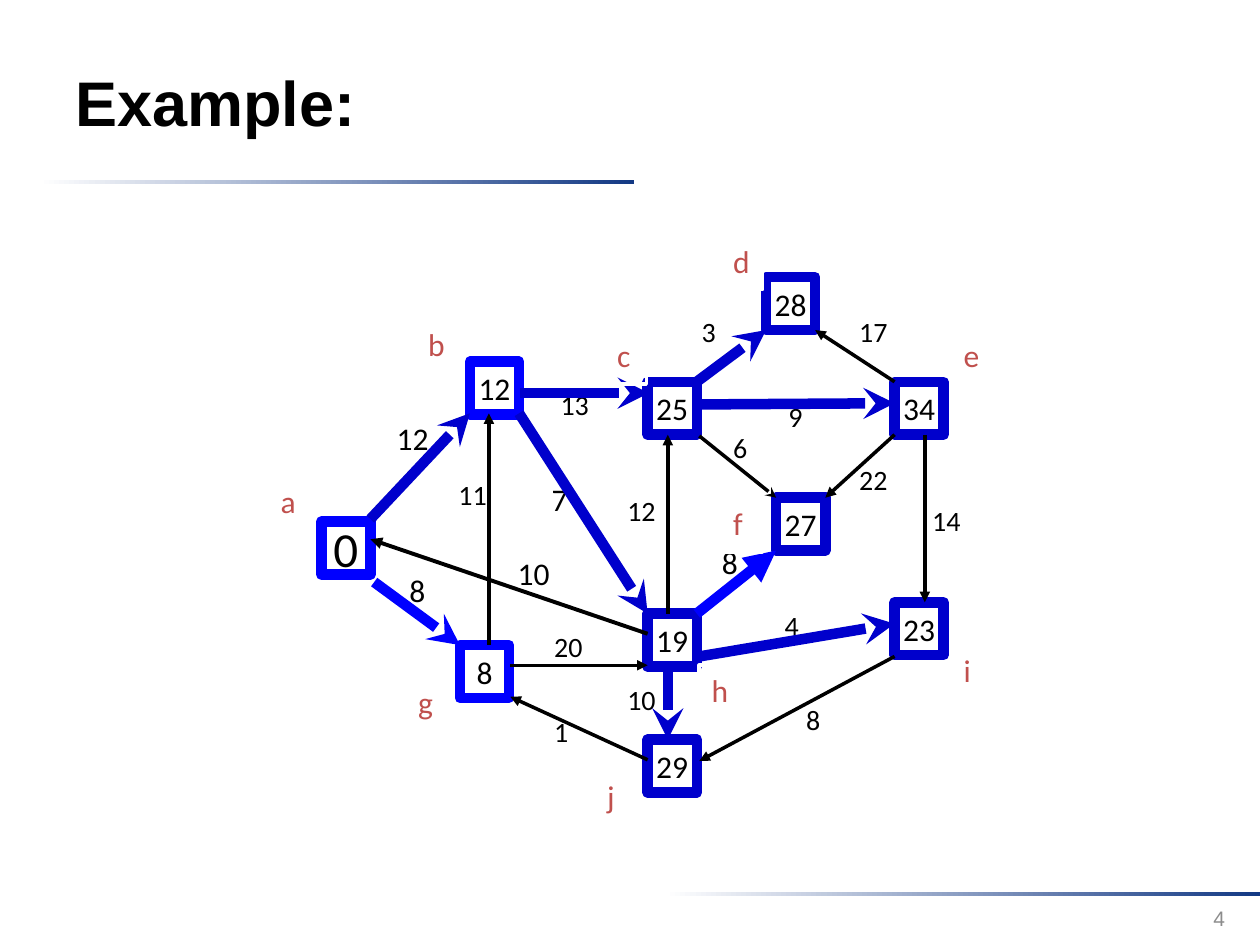
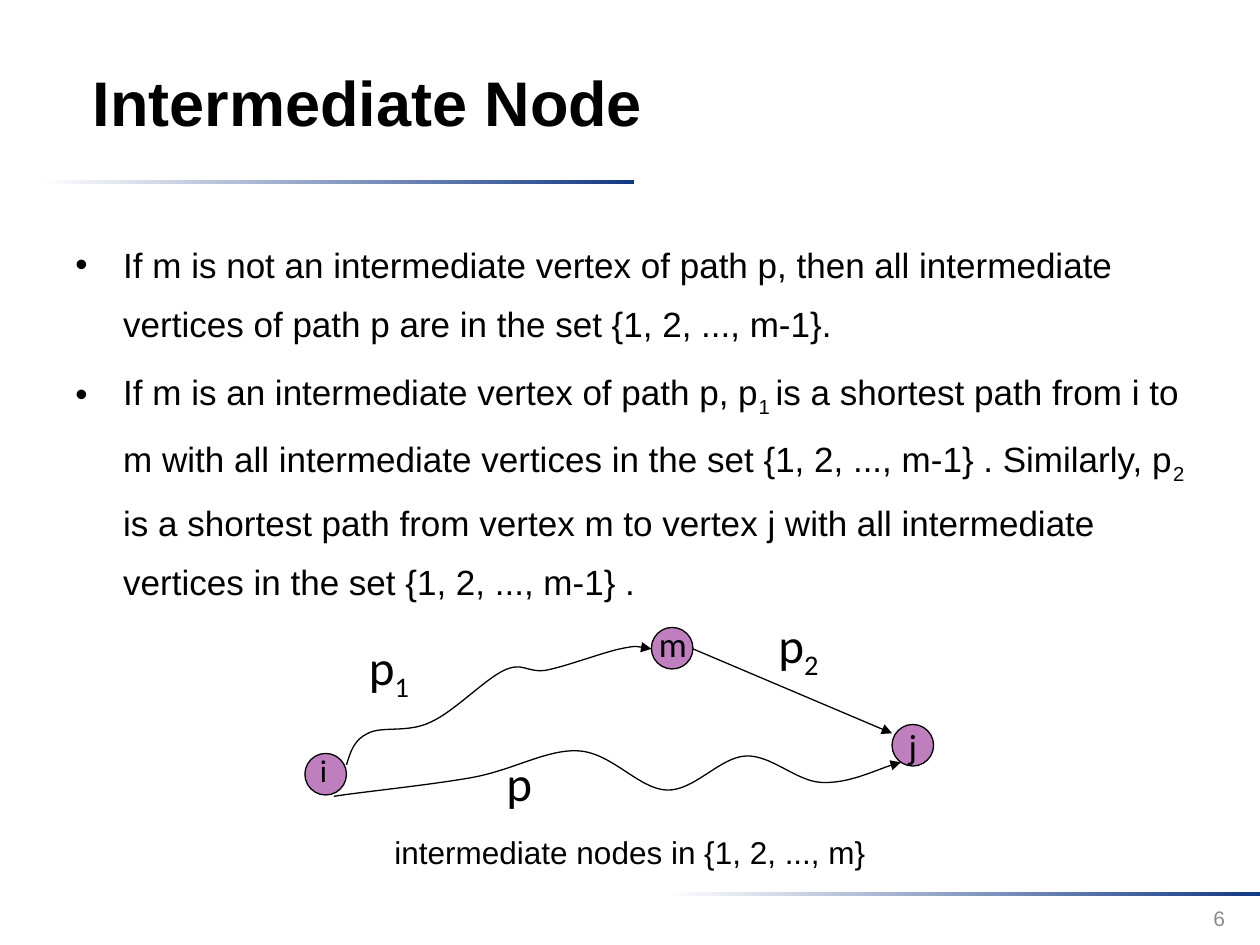
from lxml import etree
from pptx import Presentation
from pptx.dml.color import RGBColor
from pptx.enum.shapes import MSO_CONNECTOR, MSO_SHAPE
from pptx.enum.text import MSO_ANCHOR, MSO_AUTO_SIZE, PP_ALIGN
from pptx.oxml.ns import qn
from pptx.util import Inches, Pt

BLACK = RGBColor(0x00, 0x00, 0x00)
WHITE = RGBColor(0xFF, 0xFF, 0xFF)
NAVY = RGBColor(0x13, 0x39, 0x84)
GRAY = RGBColor(0x8C, 0x8C, 0x8C)
BLUE = RGBColor(0x00, 0x00, 0xFF)
DARK_BLUE = RGBColor(0x00, 0x00, 0xCC)
RED = RGBColor(0xC0, 0x50, 0x4D)
PURPLE = RGBColor(0x80, 0x00, 0x80)

BANDS = [(0.31, 1.43), (5.28, 7.08)]

NODE_SIZE = (0.39, 0.42)
NODES = [
    ("0", 2.55, 4.14, BLUE, 28),
    ("27", 6.16, 3.95, DARK_BLUE, 18),
    ("8", 3.65, 5.12, BLUE, 18),
    ("29", 5.14, 5.87, DARK_BLUE, 18),
    ("19", 5.14, 4.87, DARK_BLUE, 18),
    ("25", 5.14, 3.03, DARK_BLUE, 18),
    ("23", 7.1, 4.78, DARK_BLUE, 18),
    ("34", 7.1, 3.03, DARK_BLUE, 18),
    ("28", 6.08, 2.2, DARK_BLUE, 18),
    ("12", 3.73, 2.87, BLUE, 18),
]
WEIGHT_SIZES = {(18, 1): (0.35, 0.43), (18, 2): (0.48, 0.43),
                (16, 1): (0.34, 0.4), (16, 2): (0.45, 0.4)}
WEIGHTS = [
    ("8", 3.15, 4.48, 18), ("10", 4.01, 4.35, 18), ("20", 4.3, 4.95, 16),
    ("1", 4.3, 5.62, 16), ("8", 6.3, 5.53, 16), ("4", 6.13, 4.78, 16),
    ("12", 4.88, 3.87, 16), ("7", 4.28, 3.76, 18), ("13", 4.35, 3.03, 16),
    ("3", 5.47, 2.45, 16), ("9", 6.16, 3.12, 16), ("6", 5.72, 3.37, 16),
    ("22", 6.72, 3.62, 16), ("14", 7.3, 3.95, 16), ("8", 5.63, 4.26, 18),
    ("10", 4.88, 5.37, 16), ("12", 3.05, 3.28, 18), ("17", 6.72, 2.45, 16),
    ("11", 3.54, 3.74, 16),
]
EDGES = [
    ((2.97, 4.62), (3.65, 5.12), BLUE, 6, "stealth"),
    ((2.94, 4.12), (3.73, 3.28), DARK_BLUE, 6, "stealth"),
    ((5.14, 5.03), (2.94, 4.28), BLACK, 2.25, "triangle"),
    ((3.88, 5.12), (3.88, 3.28), BLACK, 2, "triangle"),
    ((4.05, 5.28), (5.14, 5.28), BLACK, 2, "triangle"),
    ((5.14, 6.03), (4.05, 5.53), BLACK, 2, "triangle"),
    ((7.1, 5.21), (5.55, 6.04), BLACK, 2, "triangle"),
    ((5.3, 5.28), (5.3, 5.87), DARK_BLUE, 6, "stealth"),
    ((4.12, 3.28), (5.14, 4.87), DARK_BLUE, 6, "stealth"),
    ((5.3, 4.87), (5.3, 3.45), BLACK, 2, "triangle"),
    ((4.13, 3.12), (5.15, 3.12), DARK_BLUE, 6, "stealth"),
    ((5.53, 3.03), (6.08, 2.62), DARK_BLUE, 6, "stealth"),
    ((5.55, 3.21), (7.1, 3.2), DARK_BLUE, 6, "stealth"),
    ((5.55, 3.46), (6.16, 3.95), BLACK, 2, "stealth"),
    ((5.53, 4.87), (6.16, 4.37), BLUE, 6, "triangle"),
    ((7.1, 3.45), (6.55, 3.95), BLACK, 2, "triangle"),
    ((7.34, 3.45), (7.34, 4.78), BLACK, 2, "triangle"),
    ((5.55, 5.21), (7.1, 4.95), DARK_BLUE, 6, "stealth"),
    ((7.1, 3.03), (6.47, 2.62), BLACK, 2, "triangle"),
]
NODE_NAMES = [
    ("a", 2.13, 3.78), ("b", 3.3, 2.53), ("g", 3.22, 5.37), ("c", 4.8, 2.62),
    ("d", 5.72, 1.87), ("f", 5.72, 3.95), ("e", 7.55, 2.62), ("i", 7.55, 5.12),
    ("h", 5.55, 5.28), ("j", 4.72, 6.12),
]

BULLETS = [
    [("If m is not an intermediate vertex of path p, then all intermediate "
      "vertices of path p are in the set {1, 2, ..., m-1}. ", False)],
    [("If m is an intermediate vertex of path p, p", False), ("1 ", True),
     ("is a shortest path from i to m with all intermediate vertices in the "
      "set {1, 2, ..., m-1} . Similarly, p", False), ("2", True),
     (" is a shortest path from vertex m to vertex j with all intermediate "
      "vertices in the set {1, 2, ..., m-1} . ", False)],
]
CIRCLES = [("", 2.42, 5.98), ("", 5.17, 4.98), ("j", 7.08, 5.75)]
CURVES = [
    [(2.75, 6.07), (2.78, 5.97), (2.81, 5.87), (2.92, 5.82), (3.03, 5.76),
     (3.24, 5.82), (3.42, 5.73), (3.6, 5.65), (3.85, 5.39), (4, 5.32),
     (4.15, 5.25), (4.18, 5.34), (4.33, 5.32), (4.49, 5.29), (4.78, 5.18),
     (4.92, 5.15), (5.06, 5.12), (5.11, 5.14), (5.17, 5.15)],
    [(2.65, 6.32), (2.83, 6.29), (3.42, 6.23), (3.75, 6.17), (4.08, 6.11),
     (4.35, 5.94), (4.6, 5.96), (4.86, 5.98), (5.07, 6.26), (5.29, 6.27),
     (5.51, 6.28), (5.71, 6.01), (5.92, 6), (6.12, 5.99), (6.32, 6.2),
     (6.52, 6.21), (6.73, 6.22), (7.02, 6.08), (7.15, 6.05)],
]
PATH_LABELS = [
    ([("i", False)], (2.44, 5.91, 0.29, 0.5), 18),
    ([("p", False), ("1", True)], (2.83, 5, 0.54, 0.57), 28),
    ([("p", False), ("2", True)], (6.08, 4.83, 1.25, 0.57), 28),
    ([("m", False)], (5.13, 4.89, 0.42, 0.43), 20),
    ([("p", False)], (3.92, 5.92, 0.41, 0.57), 28),
]


def inches(values):
    return [Inches(value) for value in values]


def write(paragraph, runs, size, color=BLACK, font="Calibri", align=PP_ALIGN.LEFT):
    paragraph.alignment = align
    paragraph.font.size = Pt(size)
    paragraph.font.name = font
    paragraph.font.color.rgb = color
    for text, subscript in runs:
        run = paragraph.add_run()
        run.text = text
        if subscript:
            run.font._element.set("baseline", "-25000")


def add_text(shapes, runs, box, size, wrap=True, anchor=MSO_ANCHOR.TOP, **style):
    shape = shapes.add_textbox(*inches(box))
    frame = shape.text_frame
    frame.word_wrap = wrap
    frame.vertical_anchor = anchor
    write(frame.paragraphs[0], runs, size, **style)
    return frame


def add_outline(shapes, kind, box, color, width):
    shape = shapes.add_shape(kind, *inches(box))
    shape.shadow.inherit = False
    shape.fill.background()
    shape.line.color.rgb = color
    shape.line.width = Pt(width)
    return shape


def add_centered(shape, text, size):
    frame = shape.text_frame
    frame.word_wrap = False
    frame.vertical_anchor = MSO_ANCHOR.MIDDLE
    write(frame.paragraphs[0], [(text, False)], size, align=PP_ALIGN.CENTER)


def add_label(shapes, text, box, size, color=BLACK, wrap=False):
    shape = add_outline(shapes, MSO_SHAPE.RECTANGLE, box, WHITE, 2)
    frame = shape.text_frame
    frame.word_wrap = wrap
    frame.auto_size = MSO_AUTO_SIZE.SHAPE_TO_FIT_TEXT
    frame.vertical_anchor = MSO_ANCHOR.TOP
    write(frame.paragraphs[0], [(text, False)], size, color)


def style_arrow(shape, color, width, head):
    shape.line.color.rgb = color
    shape.line.width = Pt(width)
    etree.SubElement(shape.line._get_or_add_ln(), qn("a:tailEnd"), type=head)


def add_arrow(shapes, start, end, color, width, head):
    line = shapes.add_connector(MSO_CONNECTOR.STRAIGHT, *inches(start + end))
    style_arrow(line, color, width, head)
    etree.SubElement(line._element.spPr, qn("a:effectLst"))


def add_curve(shapes, points):
    start, *rest = [tuple(inches(point)) for point in points]
    builder = shapes.build_freeform(*start)
    builder.add_line_segments(rest, close=False)
    shape = builder.convert_to_shape()
    shape.shadow.inherit = False
    shape.fill.background()
    segments = list(shape._element.iter(qn("a:lnTo")))
    for first in range(0, len(segments), 3):
        curve = etree.Element(qn("a:cubicBezTo"))
        segments[first].addprevious(curve)
        for segment in segments[first:first + 3]:
            curve.append(segment[0])
            segment.getparent().remove(segment)
    style_arrow(shape, BLACK, 0.75, "triangle")


def add_slide(presentation, title, number):
    slide = presentation.slides.add_slide(presentation.slide_layouts[6])
    for left, top in BANDS:
        band = slide.shapes.add_shape(MSO_SHAPE.RECTANGLE, *inches((left, top, 4.72, 0.03)))
        band.shadow.inherit = False
        band.line.fill.background()
        band.fill.gradient()
        band.fill.gradient_angle = 0
        for stop, color, position in zip(band.fill.gradient_stops, (WHITE, NAVY), (0, 1)):
            stop.color.rgb = color
            stop.position = position
    frame = add_text(slide.shapes, [(title, False)], (0.5, 0.18, 7.73, 1.25), 36,
                     anchor=MSO_ANCHOR.MIDDLE, font="Arial")
    frame.paragraphs[0].font.bold = True
    add_text(slide.shapes, [(number, False)], (7.49, 7.09, 2.33, 0.4), 12,
             anchor=MSO_ANCHOR.MIDDLE, font="Arial", color=GRAY, align=PP_ALIGN.RIGHT)
    return slide


def add_graph(slide):
    shapes = slide.shapes.add_group_shape().shapes
    for value, left, top, color, size in NODES:
        node = add_outline(shapes, MSO_SHAPE.RECTANGLE, (left, top) + NODE_SIZE, color, 6)
        add_centered(node, value, size)
    for value, left, top, size in WEIGHTS:
        add_label(shapes, value, (left, top) + WEIGHT_SIZES[size, len(value)], size)
    for edge in EDGES:
        add_arrow(shapes, *edge)
    for name, left, top in NODE_NAMES:
        add_label(shapes, name, (left, top, 0.33, 0.43), 18, RED, wrap=True)


def add_bullets(slide):
    frame = slide.shapes.add_textbox(*inches((0.5, 1.75, 9, 4.95))).text_frame
    frame.word_wrap = True
    for index, runs in enumerate(BULLETS):
        paragraph = frame.add_paragraph() if index else frame.paragraphs[0]
        paragraph.line_spacing = 1.4
        paragraph.space_before = Pt(4)
        write(paragraph, runs, 20, font="Arial")
        properties = paragraph._p.get_or_add_pPr()
        properties.set("marL", str(Inches(0.38)))
        properties.set("indent", str(-Inches(0.38)))
        bullet = etree.Element(qn("a:buChar"), char="•")
        properties.find(qn("a:defRPr")).addprevious(bullet)
        bullet.addprevious(etree.Element(qn("a:buFont"), typeface="Arial"))


def add_paths(slide):
    shapes = slide.shapes.add_group_shape().shapes
    for name, left, top in CIRCLES:
        circle = add_outline(shapes, MSO_SHAPE.OVAL, (left, top, 0.33, 0.33), BLACK, 0.75)
        circle.fill.solid()
        circle.fill.fore_color.rgb = PURPLE
        color = circle._element.spPr.find(qn("a:solidFill"))[0]
        etree.SubElement(color, qn("a:alpha"), val="50000")
        if name:
            add_centered(circle, name, 20)
    for points in CURVES:
        add_curve(shapes, points)
    add_arrow(shapes, (5.5, 5.15), (7.08, 5.82), BLACK, 0.75, "triangle")
    for runs, box, size in PATH_LABELS:
        add_text(shapes, runs, box, size, wrap=False)
    caption = add_text(slide.shapes, [("intermediate nodes in {1, 2, ..., m} ", False)],
                       (3.01, 6.53, 3.98, 0.43), 18, wrap=False, font="Arial",
                       align=PP_ALIGN.CENTER)
    caption.paragraphs[0].line_spacing = 1.1


presentation = Presentation()
presentation.slide_width = Inches(10)
presentation.slide_height = Inches(7.5)
add_graph(add_slide(presentation, "Example:", "4"))
node_slide = add_slide(presentation, " Intermediate Node", "6")
add_bullets(node_slide)
add_paths(node_slide)
presentation.save("out.pptx")
